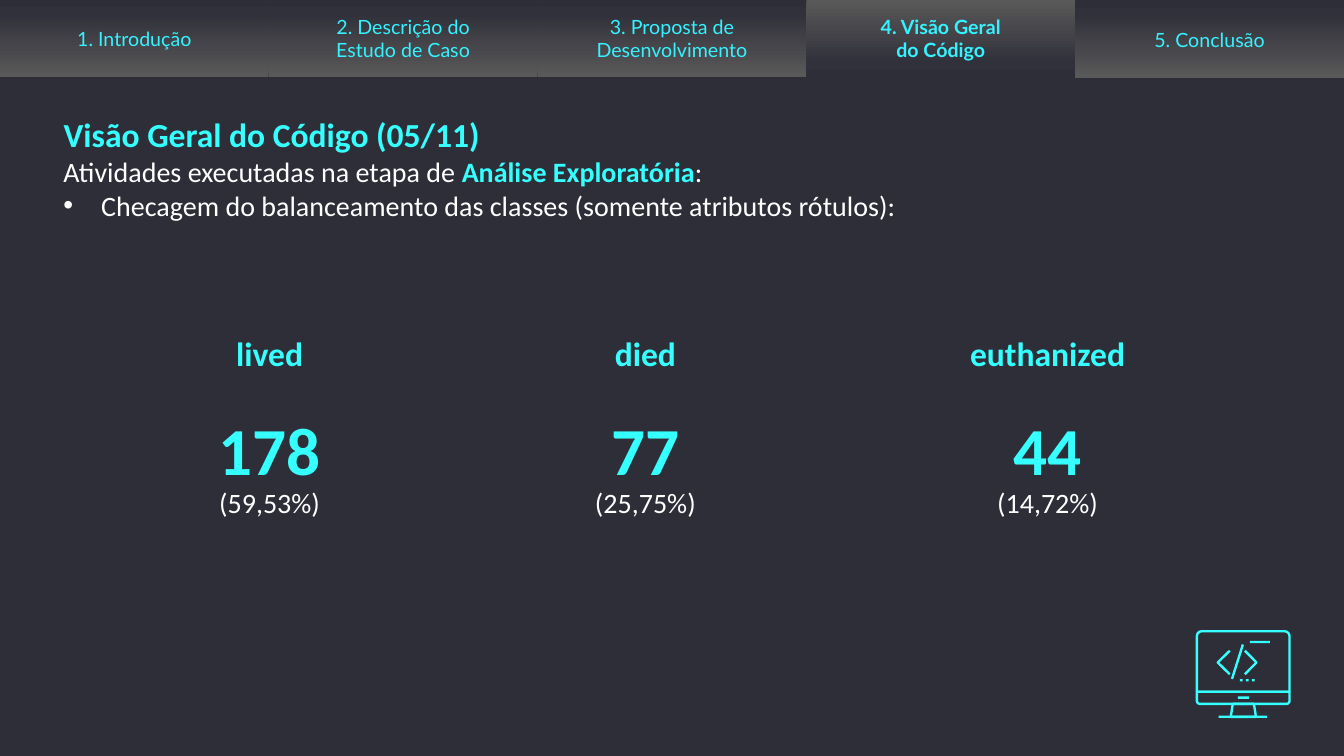
import copy

import pptx
import pptx.dml.color
import pptx.enum.shapes
import pptx.enum.text
import pptx.oxml
import pptx.oxml.ns
import pptx.util

Pt = pptx.util.Pt
Shape = pptx.enum.shapes.MSO_SHAPE
Align = pptx.enum.text.PP_ALIGN
Anchor = pptx.enum.text.MSO_ANCHOR
AutoSize = pptx.enum.text.MSO_AUTO_SIZE

BACKGROUND = "2E2E38"
CYAN = "35FFFF"
TAB_TEXT = "35F2FF"
WHITE = "FFFFFF"
TAB_STOPS = [(0, "595959"), (0.82, "31313B"), (1, BACKGROUND)]
TAB_WIDTH, TAB_HEIGHT = 192, 54.7
ICON_LINE = 1.7

TABS = [
    "1. Introdução",
    "2. Descrição do\vEstudo de Caso",
    "3. Proposta de\nDesenvolvimento",
    "4. Visão Geral\ndo Código",
    "5. Conclusão",
]
ACTIVE_TAB = 3

# Centre of the column, then text and box width of label, count and share
CLASSES = [
    (192.6, [("lived", 62.6), ("178", 88.6), ("(59,53%)", 87.1)]),
    (461, [("died", 59), ("77", 64.1), ("(25,75%)", 87.1)]),
    (748.3, [("euthanized", 126.7), ("44", 64.1), ("(14,72%)", 87.1)]),
]
# Top, height, text size, colour and weight of label, count and share
CLASS_ROWS = [
    (234, 36, 24, CYAN, True),
    (288, 65.5, 48, CYAN, True),
    (343.4, 31.7, 20, WHITE, False),
]


def rgb(colour):
    return pptx.dml.color.RGBColor.from_string(colour)


def style(font, size, colour, bold=False, name="Calibri"):
    font.name, font.size, font.bold = name, Pt(size), bold
    font.color.rgb = rgb(colour)


def place(shape, left, top, width, height):
    shape.left, shape.top = Pt(left), Pt(top)
    shape.width, shape.height = Pt(width), Pt(height)


def add_title(slide, text):
    title = slide.shapes.title
    place(title, 38.2, 77.8, 884.9, 36.5)
    frame = title.text_frame
    frame.text = text
    frame.vertical_anchor = Anchor.TOP
    frame.auto_size = AutoSize.NONE
    frame.paragraphs[0].alignment = Align.LEFT
    style(frame.paragraphs[0].runs[0].font, 24, CYAN, True)


def add_bullet(paragraph, indent):
    properties = paragraph._p.get_or_add_pPr()
    properties.set("marL", str(Pt(indent)))
    properties.set("indent", str(-Pt(indent)))
    namespace = pptx.oxml.ns.nsdecls("a")
    for xml in (f'<a:buFont {namespace} typeface="Arial"/>',
                f'<a:buChar {namespace} char="•"/>'):
        properties.append(pptx.oxml.parse_xml(xml))


def add_activities(slide):
    box = slide.shapes.add_textbox(Pt(38.2), Pt(107.1), Pt(884.9), Pt(56))
    frame = box.text_frame
    frame.word_wrap = True
    intro = frame.paragraphs[0]
    intro.alignment = Align.JUSTIFY
    for text, colour, bold in [
        ("Atividades executadas na etapa de ", WHITE, False),
        ("Análise Exploratória", CYAN, True),
        (":", WHITE, False),
    ]:
        run = intro.add_run()
        run.text = text
        style(run.font, 20, colour, bold)
    check = frame.add_paragraph()
    check.text = "Checagem do balanceamento das classes (somente atributos rótulos):"
    check.alignment = Align.JUSTIFY
    add_bullet(check, 27)
    style(check.runs[0].font, 20, WHITE)


def fill_gradient(fill, stops, angle):
    fill.gradient()
    fill.gradient_angle = angle
    first = fill.gradient_stops[0]._gs
    first.addnext(copy.deepcopy(first))
    for stop, (position, colour) in zip(fill.gradient_stops, stops):
        stop.position = position
        stop.color.rgb = rgb(colour)


def add_tab(slide, index, text):
    active = index == ACTIVE_TAB
    top = 0.7 if index == len(TABS) - 1 else 0
    tab = slide.shapes.add_shape(
        Shape.RECTANGLE, Pt(index * TAB_WIDTH), Pt(top), Pt(TAB_WIDTH), Pt(TAB_HEIGHT))
    tab.shadow.inherit = False
    tab.line.fill.background()
    fill_gradient(tab.fill, TAB_STOPS, 270 if active else 90)
    frame = tab.text_frame
    frame.text = text
    frame.vertical_anchor = Anchor.MIDDLE
    for paragraph in frame.paragraphs:
        paragraph.alignment = Align.CENTER
        for run in paragraph.runs:
            style(run.font, 14, TAB_TEXT, active, "Lato")


def add_class_count(slide, centre, entries):
    column = slide.shapes.add_group_shape().shapes
    for (text, width), (top, height, size, colour, bold) in zip(entries, CLASS_ROWS):
        box = column.add_textbox(Pt(centre - width / 2), Pt(top), Pt(width), Pt(height))
        frame = box.text_frame
        frame.word_wrap = False
        frame.auto_size = AutoSize.SHAPE_TO_FIT_TEXT
        frame.text = text
        frame.paragraphs[0].alignment = Align.CENTER
        style(frame.paragraphs[0].runs[0].font, size, colour, bold)


def outline(shape):
    shape.shadow.inherit = False
    shape.fill.background()
    shape.line.color.rgb = rgb(CYAN)
    shape.line.width = Pt(ICON_LINE)


def add_panel(icon, top, height, corner, rotation=0):
    """Add a monitor part with two rounded corners."""
    panel = icon.add_shape(
        Shape.ROUND_2_SAME_RECTANGLE, Pt(854.9), Pt(top), Pt(66.2), Pt(height))
    panel.adjustments[0] = corner
    panel.rotation = rotation
    outline(panel)


def add_stroke(icon, points, close=False):
    builder = icon.build_freeform(Pt(points[0][0]), Pt(points[0][1]))
    builder.add_line_segments([(Pt(x), Pt(y)) for x, y in points[1:]], close=close)
    outline(builder.convert_to_shape())


def add_bar(icon, left, top, width):
    bar = icon.add_shape(Shape.RECTANGLE, Pt(left), Pt(top), Pt(width), Pt(ICON_LINE))
    bar.shadow.inherit = False
    bar.fill.solid()
    bar.fill.fore_color.rgb = rgb(CYAN)
    bar.line.fill.background()


def add_code_icon(slide):
    icon = slide.shapes.add_group_shape().shapes
    add_panel(icon, 450.9, 43.2, 0.08)
    add_panel(icon, 494.1, 8.7, 0.25, rotation=180)
    add_stroke(icon, [(880.6, 502.8), (895.7, 502.8), (897.1, 512), (879.1, 512)], True)
    for edge, tip in [(878.4, 869.8), (889.2, 897.5)]:
        add_stroke(icon, [(edge, 464.8), (tip, 473.2), (edge, 481.6)])
    add_stroke(icon, [(887.8, 460.4), (880, 485)])
    for left, top, width in [(884.2, 497.5, 7.9), (870.5, 511.2, 34.6), (892.8, 457.7, 14.4)]:
        add_bar(icon, left, top, width)
    for dot in range(3):
        add_bar(icon, 885.6 + dot * 4.3, 485.1, 2)


def main():
    presentation = pptx.Presentation()
    presentation.slide_width, presentation.slide_height = Pt(960), Pt(540)
    slide = presentation.slides.add_slide(presentation.slide_layouts[5])
    slide.background.fill.solid()
    slide.background.fill.fore_color.rgb = rgb(BACKGROUND)
    add_title(slide, "Visão Geral do Código (05/11)")
    add_activities(slide)
    for index, text in enumerate(TABS):
        add_tab(slide, index, text)
    for centre, entries in CLASSES:
        add_class_count(slide, centre, entries)
    add_code_icon(slide)
    presentation.save("out.pptx")


if __name__ == "__main__":
    main()
